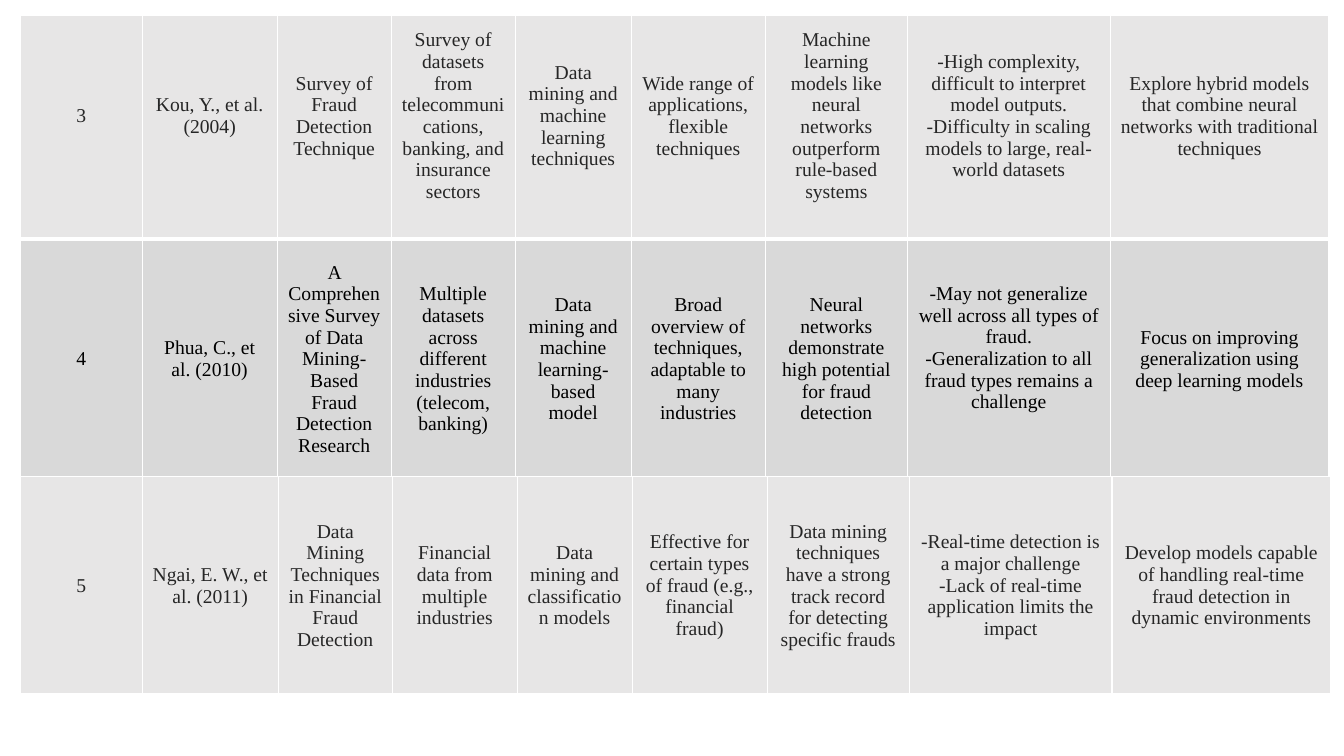
from dataclasses import dataclass

from lxml.etree import SubElement
from pptx import Presentation
from pptx.dml.color import RGBColor
from pptx.enum.text import MSO_ANCHOR, PP_ALIGN
from pptx.oxml.ns import qn
from pptx.slide import Slide
from pptx.table import _Cell
from pptx.util import Inches, Pt

SLIDE_WIDTH, SLIDE_HEIGHT = Inches(13.33), Inches(7.5)
FONT_NAME, FONT_SIZE = "Times New Roman", Pt(14)
COLORS = {
    "light": "E7E6E6",
    "medium": "D9D9D9",
    "dark text": "262626",
    "black text": "000000",
    "border": "FFFFFF",
}
BOTTOM_MARGIN = Inches(0.05)
RAISED_MARGIN = Inches(0.27)  # lifts centred text by half a line


@dataclass
class Study:
    """One table row; its height is a percentage of the slide's height."""
    height: float
    fill: str
    text_color: str
    bottom_border: int
    raised_columns: range
    texts: list[str]


@dataclass
class StudyTable:
    """Position and column widths are percentages of the slide's size."""
    left: float
    top: float
    columns: list[float]
    studies: list[Study]


def across(percent: float) -> int:
    return round(SLIDE_WIDTH * percent / 100)


def down(percent: float) -> int:
    return round(SLIDE_HEIGHT * percent / 100)


def set_borders(cell: _Cell, bottom_width: int) -> None:
    properties = cell._tc.get_or_add_tcPr()
    for side, width in (("L", 1), ("R", 1), ("T", 1), ("B", bottom_width)):
        line = SubElement(properties, qn(f"a:ln{side}"), w=str(Pt(width)))
        fill = SubElement(line, qn("a:solidFill"))
        SubElement(fill, qn("a:srgbClr"), val=COLORS["border"])


def format_cell(cell: _Cell, text: str, study: Study, raised: bool) -> None:
    set_borders(cell, study.bottom_border)
    cell.fill.solid()
    cell.fill.fore_color.rgb = RGBColor.from_string(COLORS[study.fill])
    cell.vertical_anchor = MSO_ANCHOR.MIDDLE
    cell.margin_bottom = RAISED_MARGIN if raised else BOTTOM_MARGIN
    cell.text = text
    for paragraph in cell.text_frame.paragraphs:
        paragraph.alignment = PP_ALIGN.CENTER
        paragraph.font.name = FONT_NAME
        paragraph.font.size = FONT_SIZE
        paragraph.font.color.rgb = RGBColor.from_string(COLORS[study.text_color])


def add_study_table(slide: Slide, layout: StudyTable) -> None:
    total_width = across(sum(layout.columns))
    total_height = down(sum(study.height for study in layout.studies))
    table = slide.shapes.add_table(
        len(layout.studies), len(layout.columns),
        across(layout.left), down(layout.top), total_width, total_height,
    ).table
    table.first_row = table.horz_banding = False
    for column, width in zip(table.columns, layout.columns):
        column.width = across(width)
    for row, study in zip(table.rows, layout.studies):
        row.height = down(study.height)
        for index, (cell, text) in enumerate(zip(row.cells, study.texts)):
            format_cell(cell, text, study, index in study.raised_columns)


# Content
TABLES = [
    StudyTable(1.5, 2, [9.08, 10.05, 8.48, 9.23, 8.63, 9.98, 10.58, 15.08, 16.28], [
        Study(29.6, "light", "dark text", 3, range(9), [
            "3",
            "Kou, Y., et al. (2004)",
            "Survey of Fraud Detection Technique",
            "Survey of datasets from telecommunications, banking, and insurance sectors",
            "Data mining and machine learning techniques",
            "Wide range of applications, flexible techniques",
            "Machine learning models like neural networks outperform rule-based systems",
            "-High complexity, difficult to interpret model outputs.\n"
            "-Difficulty in scaling models to large, real-world datasets",
            "Explore hybrid models that combine neural networks with traditional techniques",
        ]),
        Study(31.8, "medium", "black text", 1, range(7, 8), [
            "4",
            "Phua, C., et al. (2010)",
            "A Comprehensive Survey of Data Mining-Based Fraud Detection Research",
            "Multiple datasets across different industries (telecom, banking)",
            "Data mining and machine learning-based model",
            "Broad overview of techniques, adaptable to many industries",
            "Neural networks demonstrate high potential for fraud detection",
            "-May not generalize well across all types of fraud.\n"
            "-Generalization to all fraud types remains a challenge",
            "Focus on improving generalization using deep learning models",
        ]),
    ]),
    StudyTable(1.5, 63.07, [9.08, 10.13, 8.48, 9.3, 8.55, 10.05, 10.58, 15.08, 16.28], [
        Study(28.8, "light", "dark text", 3, range(0), [
            "5",
            "Ngai, E. W., et al. (2011)",
            "Data Mining Techniques in Financial Fraud Detection",
            "Financial data from multiple industries",
            "Data mining and classification models",
            "Effective for certain types of fraud (e.g., financial fraud)",
            "Data mining techniques have a strong track record for detecting specific frauds",
            "-Real-time detection is a major challenge\n"
            "-Lack of real-time application limits the impact",
            "Develop models capable of handling real-time fraud detection in dynamic environments",
        ]),
    ]),
]


def main() -> None:
    presentation = Presentation()
    presentation.slide_width, presentation.slide_height = SLIDE_WIDTH, SLIDE_HEIGHT
    slide = presentation.slides.add_slide(presentation.slide_layouts[6])
    for layout in TABLES:
        add_study_table(slide, layout)
    presentation.save("out.pptx")


if __name__ == "__main__":
    main()
